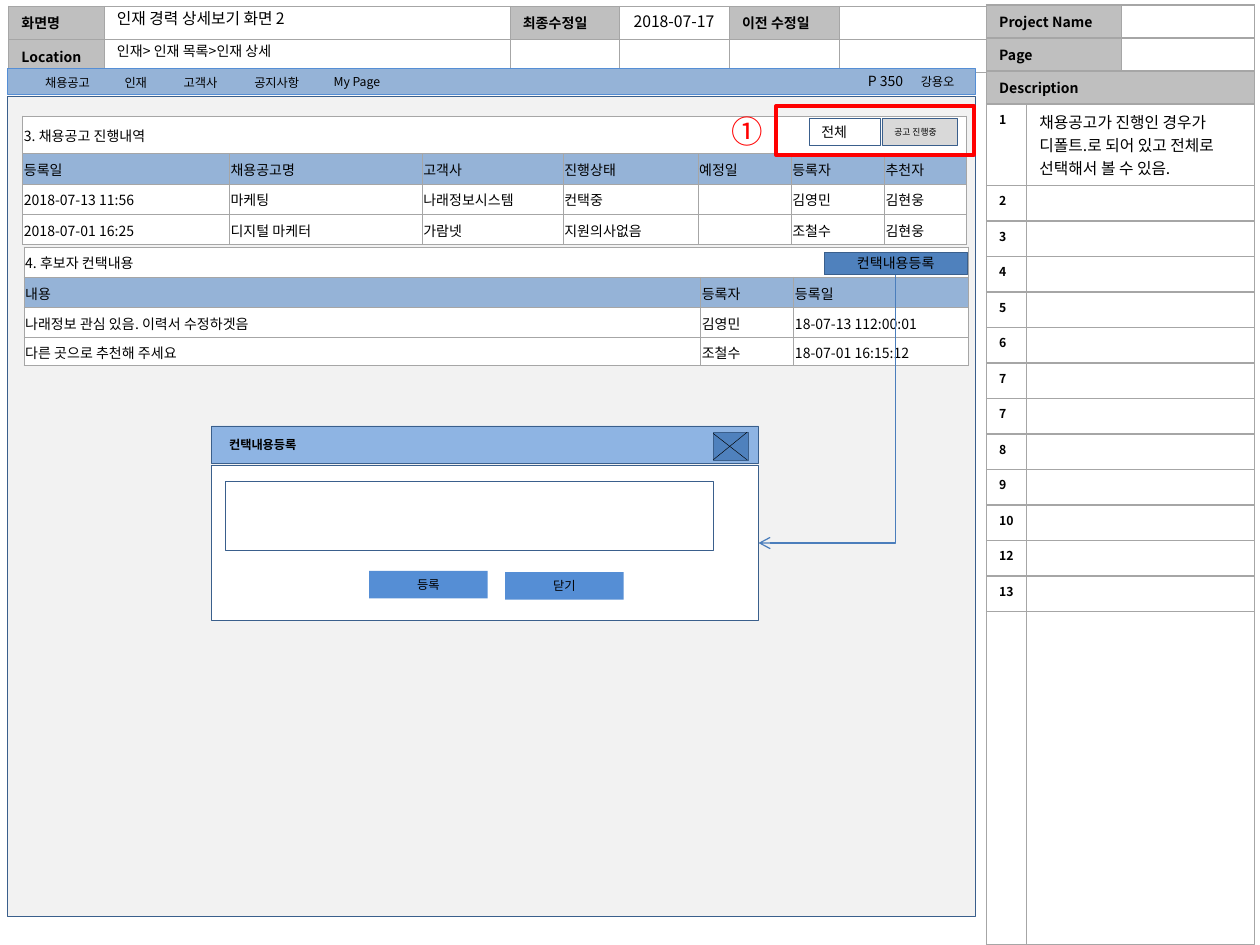
"""Build the wireframe slide of the candidate career detail screen."""
import pptx
import pptx.dml.color
import pptx.enum.shapes
import pptx.enum.text
import pptx.oxml
import pptx.oxml.ns
import pptx.util

RGBColor = pptx.dml.color.RGBColor
BLACK = RGBColor(0, 0, 0)
WHITE = RGBColor(255, 255, 255)
RED = RGBColor(255, 0, 0)
GREY = RGBColor(0xBF, 0xBF, 0xBF)
LIGHT_GREY = RGBColor(0xD9, 0xD9, 0xD9)
PALE_GREY = RGBColor(0xF2, 0xF2, 0xF2)
BORDER_GREY = RGBColor(0xA6, 0xA6, 0xA6)
NAVY = RGBColor(0x3A, 0x5F, 0x8C)
STEEL = RGBColor(0x4F, 0x81, 0xBD)
ARROW_BLUE = RGBColor(0x4B, 0x7E, 0xBC)
HEADER_BLUE = RGBColor(0x95, 0xB3, 0xD7)
TITLE_BLUE = RGBColor(0x8E, 0xB4, 0xE3)
BUTTON_BLUE = RGBColor(0x55, 0x8E, 0xD5)

FONT = "Noto Sans CJK KR"
NAMESPACE = pptx.oxml.ns.nsdecls("a")
TOP = pptx.enum.text.MSO_ANCHOR.TOP
MIDDLE = pptx.enum.text.MSO_ANCHOR.MIDDLE
LEFT = pptx.enum.text.PP_ALIGN.LEFT
CENTER = pptx.enum.text.PP_ALIGN.CENTER
RECTANGLE = pptx.enum.shapes.MSO_SHAPE.RECTANGLE
CONNECTOR = pptx.enum.shapes.MSO_CONNECTOR

deck = pptx.Presentation()
deck.slide_width = pptx.util.Inches(10)
deck.slide_height = pptx.util.Inches(7.5)
UNIT = deck.slide_width // 1000
page = deck.slides.add_slide(deck.slide_layouts[6])


def write(frame, text, size, bold=False, color=BLACK, align=LEFT):
    """Put one formatted paragraph into a text frame."""
    para = frame.paragraphs[0]
    para.alignment = align
    if not text:
        para._p.get_or_add_endParaRPr().set("sz", str(size * 100))
        return
    span = para.add_run()
    span.text = text
    values = {"size": pptx.util.Pt(size), "bold": bold, "name": FONT}
    for name, value in values.items():
        setattr(span.font, name, value)
    span.font.color.rgb = color
    span.font._element.append(
        pptx.oxml.parse_xml(f'<a:ea {NAMESPACE} typeface="{FONT}"/>'))


def draw(place, fill=None, line=None, weight=0.25, text="", anchor=MIDDLE, **style):
    """Draw a rectangle on the grid of 1000 columns and 750 rows."""
    box = page.shapes.add_shape(RECTANGLE, *[UNIT * value for value in place])
    box.shadow.inherit = False
    for part, color in ((box.fill, fill), (box.line.fill, line)):
        if color is None:
            part.background()
        else:
            part.solid()
            part.fore_color.rgb = color
    if line is not None:
        box.line.width = pptx.util.Pt(weight)
    if text:
        for name, value in {"word_wrap": True, "vertical_anchor": anchor}.items():
            setattr(box.text_frame, name, value)
        write(box.text_frame, text, **style)


draw((6, 76, 768, 651), PALE_GREY, NAVY)

labels = ["2", "3", "4", "5", "6", "7", "7", "8", "9", "10", "12", "13"]
note = "채용공고가 진행인 경우가 디폴트.로 되어 있고 전체로 선택해서 볼 수 있음."
label_fills = {name: GREY for name in (
    "화면명", "최종수정일", "이전 수정일", "Location", "Project Name", "Page", "Description")}
tables = [
    {"corner": (7, 5), "columns": [76, 322, 87, 87, 87, 118], "rows": [26, 26],
     "size": 8, "bold": True, "outer": 0.5, "cells": [
         ["화면명", "", "최종수정일", "", "이전 수정일", ""],
         ["Location", "", "", "", "", ""]]},
    {"corner": (783, 4), "columns": [32, 75, 106],
     "rows": [26.2] * 3 + [64.5] + [28.2] * 12 + [264.5],
     "size": 7, "bold": True, "outer": 1, "cells": [
         ["Project Name", None, ""], ["Page", None, ""], ["Description", None, None],
         ["1", note, None], *[[label, "", None] for label in labels], ["", "", None]]},
    {"corner": (19, 196), "columns": [537, 74, 139], "rows": [24, 24, 24, 22],
     "size": 8, "outer": 0.5, "tight": True, "cells": [
         ["4. 후보자 컨택내용", None, None],
         ["내용", "등록자", "등록일"],
         ["나래정보 관심 있음. 이력서 수정하겟음", "김영민", "18-07-13 112:00:01"],
         ["다른 곳으로 추천해 주세요", "조철수", "18-07-01 16:15:12"]]},
    {"corner": (18, 92), "columns": [164, 153, 112, 107, 74, 74, 65],
     "rows": [30, 24, 24, 24], "size": 8, "outer": 0.5, "tight": True, "cells": [
         ["3. 채용공고 진행내역", *[None] * 6],
         ["등록일", "채용공고명", "고객사", "진행상태", "예정일", "등록자", "추천자"],
         ["2018-07-13 11:56", "마케팅", "나래정보시스템", "컨택중", "", "김영민", "김현웅"],
         ["2018-07-01 16:25", "디지털 마케터", "가람넷", "지원의사없음", "", "조철수", "김현웅"]]},
]
for data in tables:
    columns, rows = data["columns"], data["rows"]
    place = [int(UNIT * value) for value in (*data["corner"], sum(columns), sum(rows))]
    table = page.shapes.add_table(len(rows), len(columns), *place).table
    table.first_row = table.horz_banding = False
    for column, width in zip(table.columns, columns):
        column.width = UNIT * width
    for row, height in zip(table.rows, rows):
        row.height = int(UNIT * height)
    tight = data.get("tight", False)
    for r, texts in enumerate(data["cells"]):
        for c, text in enumerate(texts):
            if text is None:
                continue
            cell = table.cell(r, c)
            last = c
            while last + 1 < len(texts) and texts[last + 1] is None:
                last += 1
            if last > c:
                cell.merge(table.cell(r, last))
            if tight:
                values = {"vertical_anchor": MIDDLE, "margin_left": UNIT, "margin_right": UNIT,
                          "margin_top": UNIT, "margin_bottom": 0}
                for name, value in values.items():
                    setattr(cell, name, value)
            outer = data["outer"]
            edges = {"L": 0.5 if c else outer, "R": 0.5, "T": outer, "B": outer}
            for edge, weight in edges.items():
                cell._tc.get_or_add_tcPr().append(pptx.oxml.parse_xml(
                    f'<a:ln{edge} {NAMESPACE} w="{int(weight * 12700)}"><a:solidFill>'
                    f'<a:srgbClr val="{BORDER_GREY}"/></a:solidFill></a:ln{edge}>'))
            cell.fill.solid()
            cell.fill.fore_color.rgb = (
                HEADER_BLUE if tight and r == 1 else label_fills.get(text, WHITE))
            size = 9 if text == note else 8 if text in label_fills else data["size"]
            write(cell.text_frame, text, size, data.get("bold", False) and text != note)

draw((700, 94, 60, 21), LIGHT_GREY, NAVY, text="공고 진행중", size=5)
draw((642, 94, 57, 21), WHITE, NAVY, text="전체", size=8)
draw((654, 200, 114, 18), STEEL, NAVY, text="컨택내용등록", size=8, align=CENTER)
draw((6, 54, 768, 21), HEADER_BLUE, BUTTON_BLUE)
draw((168, 338, 434, 30), TITLE_BLUE, NAVY)
draw((168, 369, 434, 123), WHITE, NAVY)
draw((179, 382, 387, 55), WHITE, NAVY)
draw((293, 453, 94, 22), BUTTON_BLUE, text="등록", size=7, align=CENTER)
draw((401, 454, 94, 22), BUTTON_BLUE, text="닫기", size=7, align=CENTER)
draw((566, 343, 28, 22), STEEL, NAVY)

links = [
    (CONNECTOR.STRAIGHT, (566, 344, 593, 365), BLACK, 0.25),
    (CONNECTOR.STRAIGHT, (593, 343, 566, 365), BLACK, 0.25),
    (CONNECTOR.ELBOW, (550, 270, 763, 379), ARROW_BLUE, 0.75),
]
for kind, ends, color, weight in links:
    link = page.shapes.add_connector(kind, *[UNIT * value for value in ends])
    link.line.color.rgb = color
    link.line.width = pptx.util.Pt(weight)
    properties = link._element.spPr
    if kind == CONNECTOR.ELBOW:
        properties.find(pptx.oxml.ns.qn("a:xfrm")).set("rot", "5400000")
        properties.find(pptx.oxml.ns.qn("a:prstGeom")).set("prst", "bentConnector2")
        link.line._get_or_add_ln().append(
            pptx.oxml.parse_xml(f'<a:tailEnd {NAMESPACE} type="arrow"/>'))
    properties.append(pptx.oxml.parse_xml(f"<a:effectLst {NAMESPACE}/>"))

captions = [
    ("채용공고", (26, 55, 63, 22), {"size": 7}),
    ("인재", (89, 55, 63, 22), {"size": 7}),
    ("고객사", (136, 55, 63, 22), {"size": 7}),
    ("공지사항", (192, 55, 63, 22), {"size": 7}),
    ("My Page", (255, 54, 80, 22), {"size": 7}),
    ("컨택내용등록", (172, 342, 172, 22), {"size": 7, "bold": True}),
    ("인재 경력 상세보기 화면 2", (83, 2, 307, 25), {"size": 9}),
    ("2018-07-17", (493, 4, 94, 25), {"size": 9}),
    ("인재> 인재 목록>인재 상세", (83, 29, 259, 24), {"size": 8}),
    ("①", (571, 84, 63, 40), {"size": 18, "color": RED}),
    ("강용오", (721, 54, 54, 22), {"size": 7}),
    ("P 350", (679, 53, 57, 24), {"size": 8}),
]
for text, place, style in captions:
    box = page.shapes.add_textbox(*[UNIT * value for value in place])
    for name, value in {"word_wrap": True, "vertical_anchor": TOP}.items():
        setattr(box.text_frame, name, value)
    write(box.text_frame, text, **style)

draw((616, 84, 157, 39), line=RED, weight=2)

deck.save("out.pptx")
